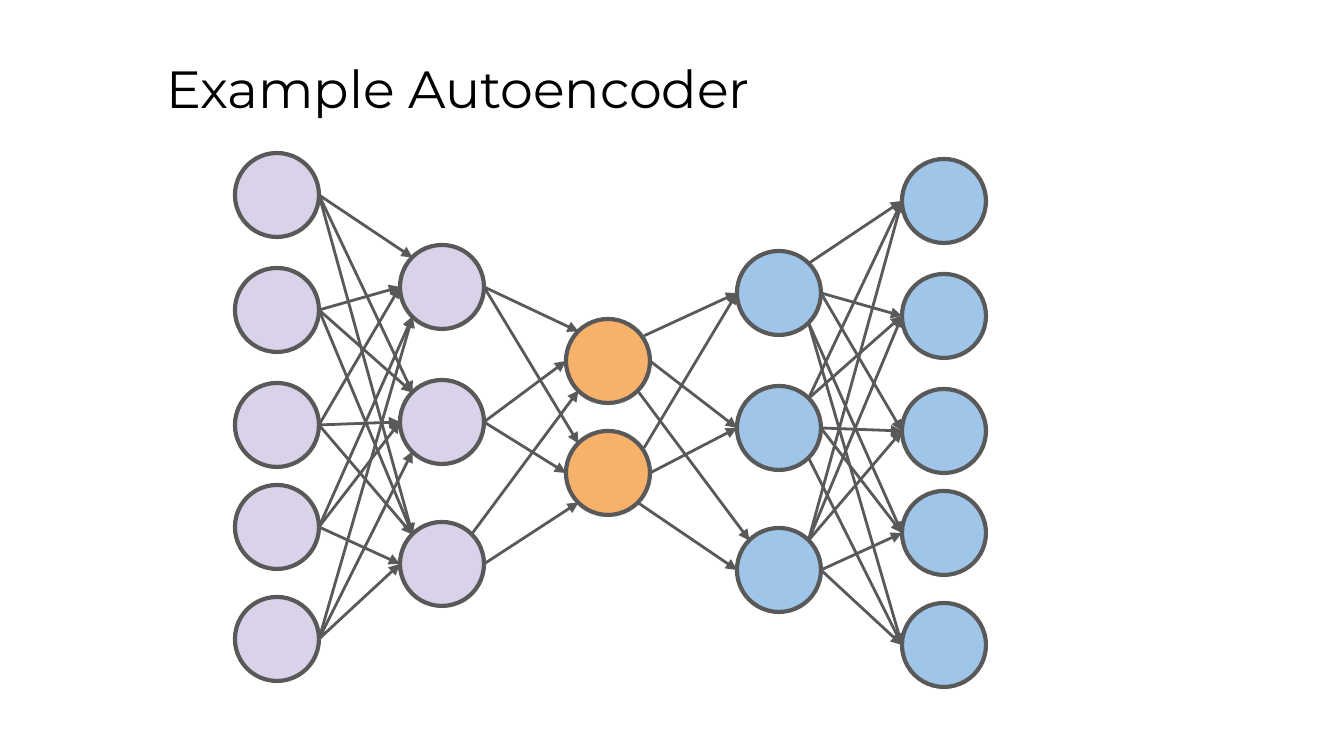
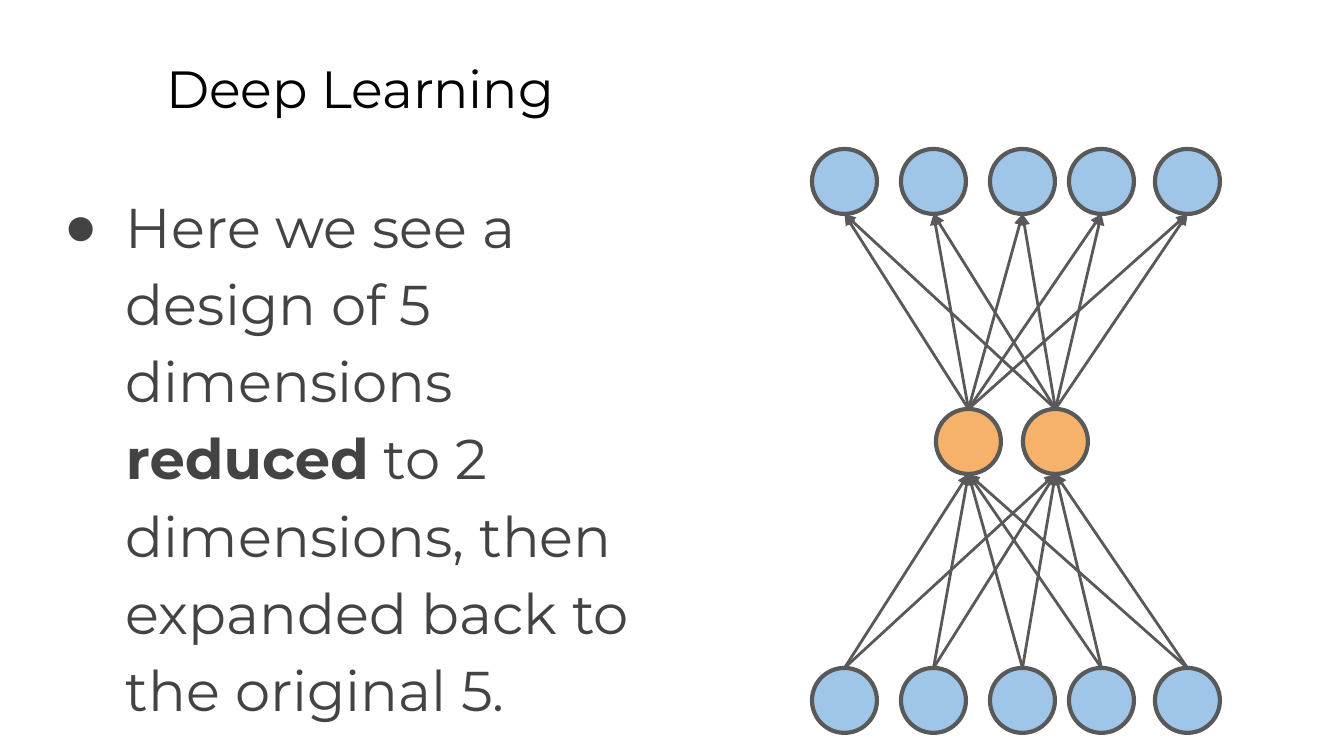
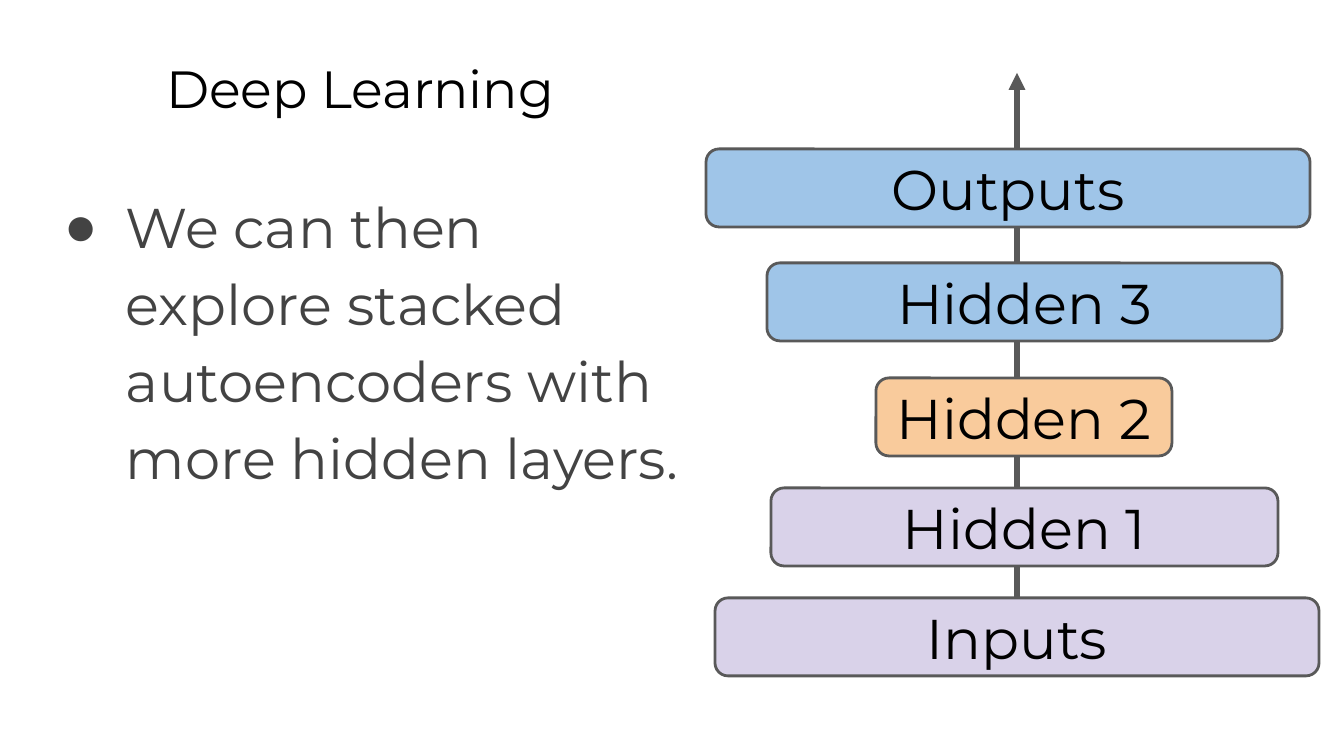
from lxml.etree import SubElement
from pptx import Presentation
from pptx.dml.color import RGBColor
from pptx.enum.shapes import MSO_CONNECTOR as Connector, MSO_SHAPE as Preset
from pptx.enum.text import MSO_ANCHOR as Anchor, MSO_AUTO_SIZE as AutoSize, PP_ALIGN as Align
from pptx.oxml.ns import qn
from pptx.util import Pt

EMU_PER_PX = 914400 / 134.4
LILAC, BLUE, ORANGE, PEACH = "D9D2E9", "9FC5E8", "F6B26B", "F9CB9C"
BLACK, BODY_GRAY, OUTLINE = "000000", "434343", "595959"
FRAME = {
    "margin_left": 13, "margin_top": 13, "margin_right": 13, "margin_bottom": 13,
}
TITLE_BOX = (153, 43, 1145, 85)
BODY_BOX = (46, 169, 648, 503)
SITES = {
    "n": (0.5, 0), "s": (0.5, 1), "w": (0, 0.5), "e": (1, 0.5),
    "nw": (0.15, 0.15), "sw": (0.15, 0.85), "ne": (0.85, 0.15), "se": (0.85, 0.85),
    "ene": (0.93, 0.2),
}
ENCODER_LINKS = [
    "e>nw e>nw e>nw", "e>w e>nw e>nw", "e>w e>w e>nw", "e>sw e>w e>w", "e>sw e>sw e>w",
]
TO_CODE_LINKS = ["e>nw e>nw", "e>w e>w", "ne>sw e>sw"]
FROM_CODE_LINKS = ["w>ene w>ene", "w>e w>e", "nw>se w>se"]
MIRROR = str.maketrans("ew", "we")


def px(length):
    """Turn pixels into EMU."""
    return round(length * EMU_PER_PX)


def color(hex_code):
    """Turn a hex string into a colour."""
    return RGBColor.from_string(hex_code)


def apply(target, values):
    """Set every attribute listed in values on target."""
    for name, value in values.items():
        setattr(target, name, value)


def write(paragraph, text, size, hex_code, bold=False):
    """Add one formatted run to a paragraph."""
    run = paragraph.add_run()
    run.text = text
    apply(run.font, {"name": "Montserrat", "size": Pt(size), "bold": bold})
    run.font.color.rgb = color(hex_code)


def set_frame(frame, anchor):
    """Give a text frame the shared margins and the given anchor."""
    apply(frame, {name: px(margin) for name, margin in FRAME.items()})
    apply(frame, {"word_wrap": True, "auto_size": AutoSize.NONE, "vertical_anchor": anchor})


def place(placeholder, box):
    """Move a placeholder and return its first paragraph."""
    apply(placeholder, dict(zip(("left", "top", "width", "height"), map(px, box))))
    set_frame(placeholder.text_frame, Anchor.TOP)
    paragraph = placeholder.text_frame.paragraphs[0]
    apply(paragraph, {"alignment": Align.LEFT, "space_before": Pt(0)})
    return paragraph


def add_slide(deck, title, body=()):
    """Add a slide with a title and, if given, one bullet of (text, bold) parts."""
    slide = deck.slides.add_slide(deck.slide_layouts[1 if body else 5])
    write(place(slide.shapes.title, TITLE_BOX), title, 28, BLACK)
    if body:
        bullet = place(slide.placeholders[1], BODY_BOX)
        bullet.line_spacing = 1.15
        for text, bold in body:
            write(bullet, text, 30, BODY_GRAY, bold)
        add_bullet(bullet)
    return slide


def add_bullet(paragraph):
    """Give a paragraph a round gray bullet with a hanging indent."""
    properties = paragraph._p.get_or_add_pPr()
    properties.set("marL", str(px(67)))
    properties.set("indent", str(px(-62)))
    tint = SubElement(properties, qn("a:buClr"))
    SubElement(tint, qn("a:srgbClr"), val=BODY_GRAY)
    SubElement(properties, qn("a:buChar"), char="●")


def add_outlined(slide, preset, box, fill, weight):
    """Add a filled shape with the shared gray outline."""
    shape = slide.shapes.add_shape(preset, *map(px, box))
    shape.shadow.inherit = False
    shape.fill.solid()
    shape.fill.fore_color.rgb = color(fill)
    shape.line.color.rgb = color(OUTLINE)
    shape.line.width = Pt(weight)
    return shape


def add_layer(slide, corners, diameter, fill):
    """Draw one layer of neurons and return their boxes."""
    neurons = [(left, top, diameter, diameter) for left, top in corners]
    for neuron in neurons:
        add_outlined(slide, Preset.OVAL, neuron, fill, 2.25)
    return neurons


def add_arrow(slide, start, end, weight=1.5, tip="tailEnd"):
    """Draw a straight line with a triangle at one end."""
    arrow = slide.shapes.add_connector(Connector.STRAIGHT, *map(px, (*start, *end)))
    arrow.line.color.rgb = color(OUTLINE)
    arrow.line.width = Pt(weight)
    properties = arrow.element.spPr
    SubElement(properties.find(qn("a:ln")), qn(f"a:{tip}"), type="triangle")
    SubElement(properties, qn("a:effectLst"))
    return arrow


def site_point(neuron, site):
    """Find a named point on the rim of a neuron."""
    left, top, width, height = neuron
    across, down = SITES[site]
    return left + across * width, top + down * height


def link_layers(slide, outer, inner, links, tip="tailEnd"):
    """Join each outer neuron to each inner one at the listed sites."""
    for source, row in zip(outer, links):
        for target, link in zip(inner, row.split()):
            leave, enter = link.split(">")
            add_arrow(slide, site_point(source, leave), site_point(target, enter), tip=tip)


def add_block(slide, label, left, top, width, fill):
    """Draw one labelled layer of the stack."""
    block = add_outlined(slide, Preset.ROUNDED_RECTANGLE, (left, top, width, 78), fill, 1.5)
    set_frame(block.text_frame, Anchor.MIDDLE)
    paragraph = block.text_frame.paragraphs[0]
    paragraph.alignment = Align.CENTER
    write(paragraph, label, 30, BLACK)
    return block


def draw_autoencoder(deck):
    """Build the slide with the full 5-3-2-3-5 network."""
    slide = add_slide(deck, "Example Autoencoder")
    wide_tops, narrow_tops = (153, 268, 383, 485, 597), (245, 380, 522)
    decoder_drop = 6

    def column(left, tops, fill, drop=0):
        """Draw one vertical layer."""
        return add_layer(slide, [(left, top + drop) for top in tops], 84, fill)

    inputs = column(235, wide_tops, LILAC)
    encoder = column(400, narrow_tops, LILAC)
    code = column(566, (319, 431), ORANGE)
    decoder = column(737, narrow_tops, BLUE, decoder_drop)
    outputs = column(902, wide_tops, BLUE, decoder_drop)
    link_layers(slide, inputs, encoder, ENCODER_LINKS)
    link_layers(slide, encoder, code, TO_CODE_LINKS)
    decoder_links = [row.translate(MIRROR) for row in ENCODER_LINKS]
    link_layers(slide, outputs, decoder, decoder_links, "headEnd")
    link_layers(slide, decoder, code, FROM_CODE_LINKS, "headEnd")


def draw_reduction(deck):
    """Build the slide with the 5-2-5 network."""
    slide = add_slide(deck, "Deep Learning", [
        ("Here we see a design of 5 dimensions ", False),
        ("reduced", True),
        (" to 2 dimensions, then expanded back to the original 5.", False),
    ])

    def row(lefts, top, fill):
        """Draw one horizontal layer."""
        return add_layer(slide, [(left, top) for left in lefts], 65, fill)

    wide_lefts = (812, 901, 990, 1069, 1155)
    outputs = row(wide_lefts, 149, BLUE)
    code = row((936, 1023), 409, ORANGE)
    inputs = row(wide_lefts, 668, BLUE)
    link_layers(slide, outputs, code, ["s>n s>n"] * 5, "headEnd")
    link_layers(slide, inputs, code, ["n>s n>s"] * 5)


def draw_stack(deck):
    """Build the slide with the stacked layers."""
    slide = add_slide(deck, "Deep Learning", [
        ("We can then explore stacked autoencoders with more hidden layers.", False),
    ])
    flow = add_arrow(slide, (1017, 676), (1017, 73), weight=3)
    inputs = add_block(slide, "Inputs", 715, 598, 604, LILAC)
    flow.begin_connect(inputs, 2)
    for hidden_layer in (
        ("Hidden 1", 771, 488, 507, LILAC),
        ("Hidden 2", 876, 378, 296, PEACH),
        ("Hidden 3", 767, 263, 515, BLUE),
        ("Outputs", 706, 149, 604, BLUE),
    ):
        add_block(slide, *hidden_layer)


def main():
    """Build and save the deck."""
    deck = Presentation()
    apply(deck, {"slide_width": px(1344), "slide_height": px(756)})
    draw_autoencoder(deck)
    draw_reduction(deck)
    draw_stack(deck)
    deck.save("out.pptx")


if __name__ == "__main__":
    main()
